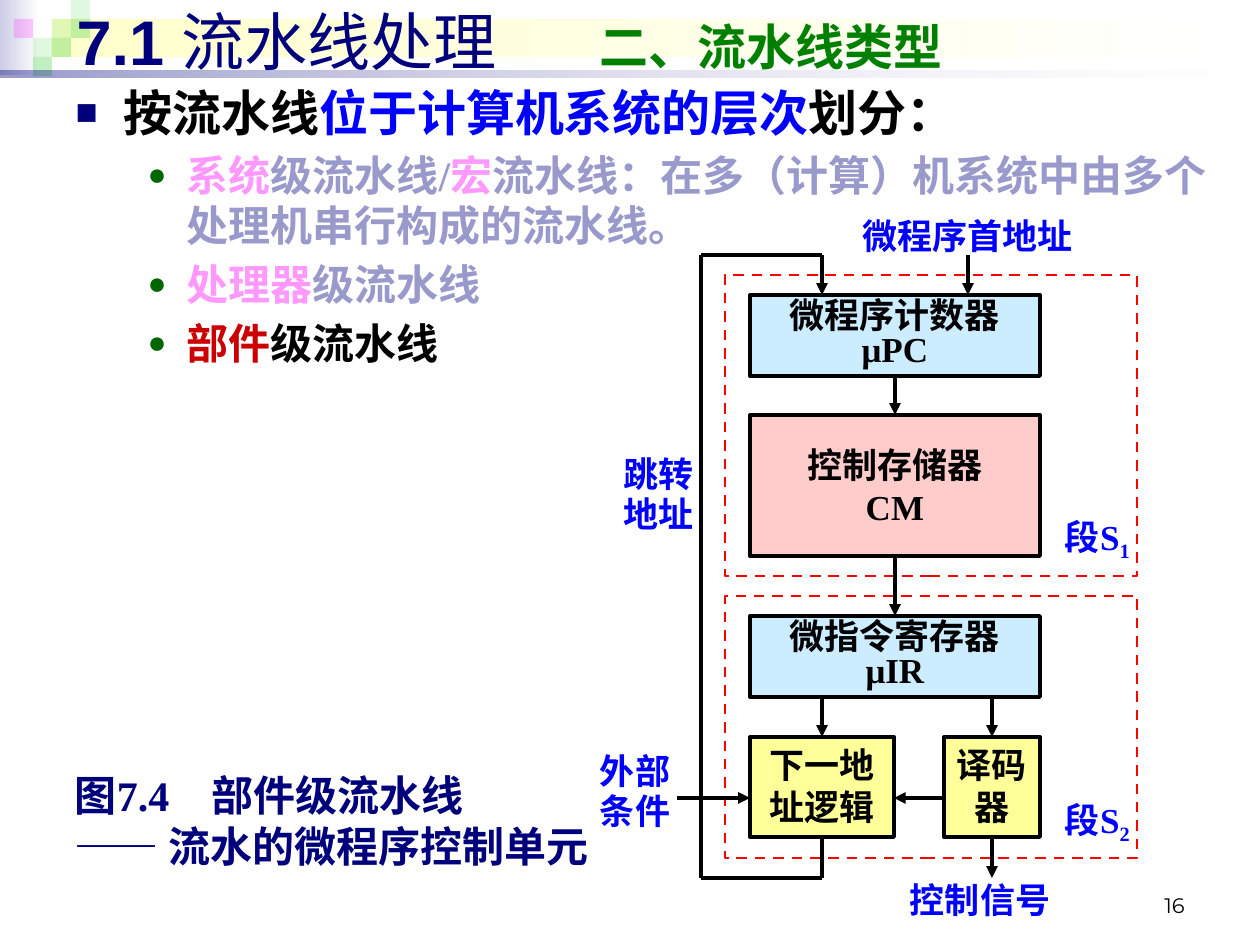
from lxml.etree import SubElement
from pptx import Presentation
from pptx.dml.color import RGBColor
from pptx.enum.dml import MSO_LINE
from pptx.enum.shapes import MSO_CONNECTOR, MSO_SHAPE
from pptx.enum.text import MSO_ANCHOR as ANCHOR, MSO_AUTO_SIZE, PP_ALIGN as ALIGN
from pptx.oxml.ns import qn
from pptx.util import Pt

PX = 914400 / 126
SERIF = "Times New Roman"
TOP, LEFT, BOTTOM, RIGHT = range(4)

BLACK = RGBColor(0x00, 0x00, 0x00)
WHITE = RGBColor(0xFF, 0xFF, 0xFF)
NAVY = RGBColor(0x00, 0x00, 0x7D)
BLUE = RGBColor(0x00, 0x00, 0xFF)
RED = RGBColor(0xFF, 0x00, 0x00)
DARK_RED = RGBColor(0xCC, 0x00, 0x00)
GREEN = RGBColor(0x00, 0x80, 0x00)
DARK_GREEN = RGBColor(0x00, 0x66, 0x00)
LIME = RGBColor(0x33, 0xCC, 0x33)
MAGENTA = RGBColor(0xFF, 0x00, 0xFF)
PINK = RGBColor(0xFF, 0x99, 0xFF)
LILAC = RGBColor(0x99, 0x99, 0xCC)
PALE_LILAC = RGBColor(0xCC, 0xCC, 0xE6)
CREAM = RGBColor(0xFF, 0xFF, 0xCC)
SKY = RGBColor(0xCC, 0xEC, 0xFF)
ROSE = RGBColor(0xFF, 0xCC, 0xCC)
YELLOW = RGBColor(0xFF, 0xFF, 0x99)


def px(*values):
    return [round(v * PX) for v in values]


def style(font, size, color, name=SERIF, bold=True):
    font.size, font.name, font.bold = Pt(size), name, bold
    font.color.rgb = color


def add_run(p, text, *args, **kwargs):
    r = p.add_run()
    r.text = text
    style(r.font, *args, **kwargs)
    return r


def add_tab(p, pos):
    tabs = SubElement(p._p.get_or_add_pPr(), qn("a:tabLst"))
    SubElement(tabs, qn("a:tab"), pos=str(*px(pos)), algn="l")


def fill_text(tf, text, size, color, align=ALIGN.LEFT, spacing=None, **kwargs):
    tf.text = text
    for p in tf.paragraphs:
        p.alignment, p.line_spacing = align, spacing
        for r in p.runs:
            style(r.font, size, color, **kwargs)


def add_label(s, x, y, w, h, text, size=20, color=BLUE, spacing=None):
    """Text box without insets."""
    tf = s.shapes.add_textbox(*px(x, y, w, h)).text_frame
    tf.margin_left = tf.margin_top = tf.margin_right = tf.margin_bottom = 0
    tf.word_wrap = True
    fill_text(tf, text, size, color, spacing=spacing)
    return tf


def add_rect(s, x, y, w, h):
    sp = s.shapes.add_shape(MSO_SHAPE.RECTANGLE, *px(x, y, w, h))
    sp.shadow.inherit = False
    return sp


def add_block(s, x, y, w, h, text, color, anchor=ANCHOR.MIDDLE, spacing=None, wrap=True):
    sp = add_rect(s, x, y, w, h)
    sp.fill.solid()
    sp.fill.fore_color.rgb = color
    sp.line.color.rgb, sp.line.width = BLACK, Pt(2.25)
    tf = sp.text_frame
    tf.word_wrap, tf.vertical_anchor = wrap, anchor
    fill_text(tf, text, 20, BLACK, ALIGN.CENTER, spacing)
    return sp


def add_link(s, x1, y1, x2, y2, begin=None, end=None, arrow=True):
    """Line whose begin and end are optional (shape, side) joints."""
    cx = s.shapes.add_connector(MSO_CONNECTOR.STRAIGHT, *px(x1, y1, x2, y2))
    if begin:
        cx.begin_connect(*begin)
    if end:
        cx.end_connect(*end)
    cx.line.color.rgb, cx.line.width = BLACK, Pt(2.25)
    if arrow:
        SubElement(cx.line._get_or_add_ln(), qn("a:tailEnd"), type="triangle")
    SubElement(cx._element.spPr, qn("a:effectLst"))


def add_decoration(s, x, y):
    """Header strip of gradient bars and translucent squares, behind the text."""
    bars = [((0, 0, 39, 75), PALE_LILAC, WHITE, None), ((52, 19, 1203, 38), CREAM, WHITE, None)]
    squares = [(2, 1, LIME, 15), (3, 0, LIME, 15), (3, 1, LIME, 30), (1, 2, LIME, 15),
               (0, 1, MAGENTA, 20), (2, 2, LIME, 30), (1, 3, LIME, 30)]
    parts = bars + [((14 + 19 * col, 19 * row, 19, 19), color, None, [alpha])
                    for col, row, color, alpha in squares]
    parts.append(((0, 71, 1260, 7), NAVY, WHITE, [40, 10]))
    for i, ((dx, dy, w, h), first, last, alphas) in enumerate(parts):
        sp = add_rect(s, x + dx, y + dy, w, h)
        sp.line.fill.background()
        if last is None:
            sp.fill.solid()
            sp.fill.fore_color.rgb = first
        else:
            sp.fill.gradient()
            sp.fill.gradient_angle = 0
            for stop, color in zip(sp.fill.gradient_stops, (first, last)):
                stop.color.rgb = color
        for clr, alpha in zip(sp._element.spPr.iter(qn("a:srgbClr")), alphas or []):
            SubElement(clr, qn("a:alpha"), val=str(alpha * 1000))
        s.shapes._spTree.insert(2 + i, sp._element)


def place(sp, x, y, w, h):
    sp.left, sp.top, sp.width, sp.height = px(x, y, w, h)
    sp.text_frame.auto_size = MSO_AUTO_SIZE.NONE
    sp.text_frame.word_wrap = True
    return sp.text_frame


def fill_title(s, *box):
    tf = place(s.shapes.title, *box)
    tf.vertical_anchor = ANCHOR.MIDDLE
    p = tf.paragraphs[0]
    p.alignment = ALIGN.LEFT
    add_tab(p, 523)
    add_run(p, "7.1 ", 36, NAVY, "Arial")
    add_run(p, "流水线处理\t", 36, NAVY, "Arial", False)
    add_run(p, "二、流水线类型", 28, GREEN, "Arial")


def fill_body(s, *box):
    items = [
        (0, [("按流水线", BLACK), ("位于计算机系统的层次", BLUE), ("划分：", BLACK)]),
        (1, [("系统", PINK), ("级流水线/", LILAC), ("宏", PINK),
             ("流水线：在多（计算）机系统中由多个处理机串行构成的流水线。", LILAC)]),
        (1, [("处理器", PINK), ("级流水线", LILAC)]),
        (1, [("部件", DARK_RED), ("级流水线", BLACK)]),
    ]
    levels = [(28, 48, 48, "■", NAVY), (24, 111, 39, "●", DARK_GREEN)]
    tf = place(s.placeholders[1], *box)
    tf.vertical_anchor = ANCHOR.TOP
    for i, (level, runs) in enumerate(items):
        size, margin, hang, char, color = levels[level]
        p = tf.add_paragraph() if i else tf.paragraphs[0]
        p.level = level
        pPr = p._p.get_or_add_pPr()
        pPr.set("marL", str(*px(margin)))
        pPr.set("indent", str(*px(-hang)))
        SubElement(SubElement(pPr, qn("a:buClr")), qn("a:srgbClr"), val=str(color))
        SubElement(pPr, qn("a:buSzPct"), val="75000")
        SubElement(pPr, qn("a:buChar"), char=char)
        p.space_before = Pt(size * 0.2 if i else 0)
        for text, run_color in runs:
            add_run(p, text, size, run_color)


def add_diagram(s, x, y):
    """Microprogram control unit: two pipeline segments and the jump path."""
    for number, top, h, label_top in (("1", 61, 301, 301), ("2", 382, 262, 584)):
        frame = add_rect(s, x + 125, y + top, 412, h)
        frame.fill.background()
        frame.line.color.rgb, frame.line.width = RED, Pt(1.5)
        frame.line.dash_style = MSO_LINE.DASH
        tf = add_label(s, x + 465, y + label_top, 86, 42, "段S")
        sub = add_run(tf.paragraphs[0], number, 20, BLUE)
        sub.font._element.set("baseline", "-25000")

    counter = add_block(s, x + 150, y + 81, 290, 81, "微程序计数器\nμPC", SKY, spacing=0.8)
    store = add_block(s, x + 150, y + 201, 290, 141, "控制存储器\nCM", ROSE)
    register = add_block(s, x + 150, y + 402, 290, 81, "微指令寄存器\nμIR", SKY, spacing=0.8)
    logic = add_block(s, x + 150, y + 523, 144, 100, "下一地址逻辑", YELLOW, ANCHOR.TOP)
    decoder = add_block(s, x + 344, y + 523, 96, 100, "译码\n器", YELLOW, ANCHOR.TOP, wrap=False)

    links = [
        (295, 162, 295, 201, (counter, BOTTOM), (store, TOP)),
        (295, 342, 295, 402, (store, BOTTOM), (register, TOP)),
        (368, 41, 368, 81),
        (222, 41, 222, 81),
        (222, 483, 222, 523, None, (logic, TOP)),
        (392, 483, 392, 523, None, (decoder, TOP)),
        (392, 623, 392, 664, (decoder, BOTTOM)),
        (77, 584, 150, 584),
        (344, 584, 294, 584),
        (222, 623, 222, 664, (logic, BOTTOM), None, False),
        (222, 664, 101, 664, None, None, False),
        (101, 664, 101, 41, None, None, False),
        (101, 41, 222, 41, None, None, False),
    ]
    for x1, y1, x2, y2, *joints in links:
        add_link(s, x + x1, y + y1, x + x2, y + y2, *joints)

    add_label(s, x + 262, y, 236, 42, "微程序首地址")
    add_label(s, x + 24, y + 241, 87, 81, "跳转\n地址", spacing=0.96)
    add_label(s, x, y + 538, 83, 81, "外部\n条件", spacing=0.96)
    add_label(s, x + 310, y + 664, 161, 42, "控制信号")


def add_caption(s, *box):
    tf = add_label(s, *box, "图7.4\t部件级流水线\n—— 流水的微程序控制单元", 24, NAVY)
    add_tab(tf.paragraphs[0], 137)


def add_page_number(s, *box):
    tf = s.shapes.add_textbox(*px(*box)).text_frame
    tf.word_wrap, tf.vertical_anchor = True, ANCHOR.BOTTOM
    fill_text(tf, "16", 12, BLACK, ALIGN.RIGHT, name="Montserrat", bold=False)


def main():
    prs = Presentation()
    prs.slide_width, prs.slide_height = px(1260, 945)
    s = prs.slides.add_slide(prs.slide_layouts[1])
    add_decoration(s, 0, 0)
    fill_title(s, 64, -4, 1181, 89)
    fill_body(s, 63, 76, 1182, 853)
    add_diagram(s, 600, 214)
    add_caption(s, 75, 770, 556, 101)
    add_page_number(s, 903, 861, 294, 63)
    prs.save("out.pptx")


if __name__ == "__main__":
    main()
